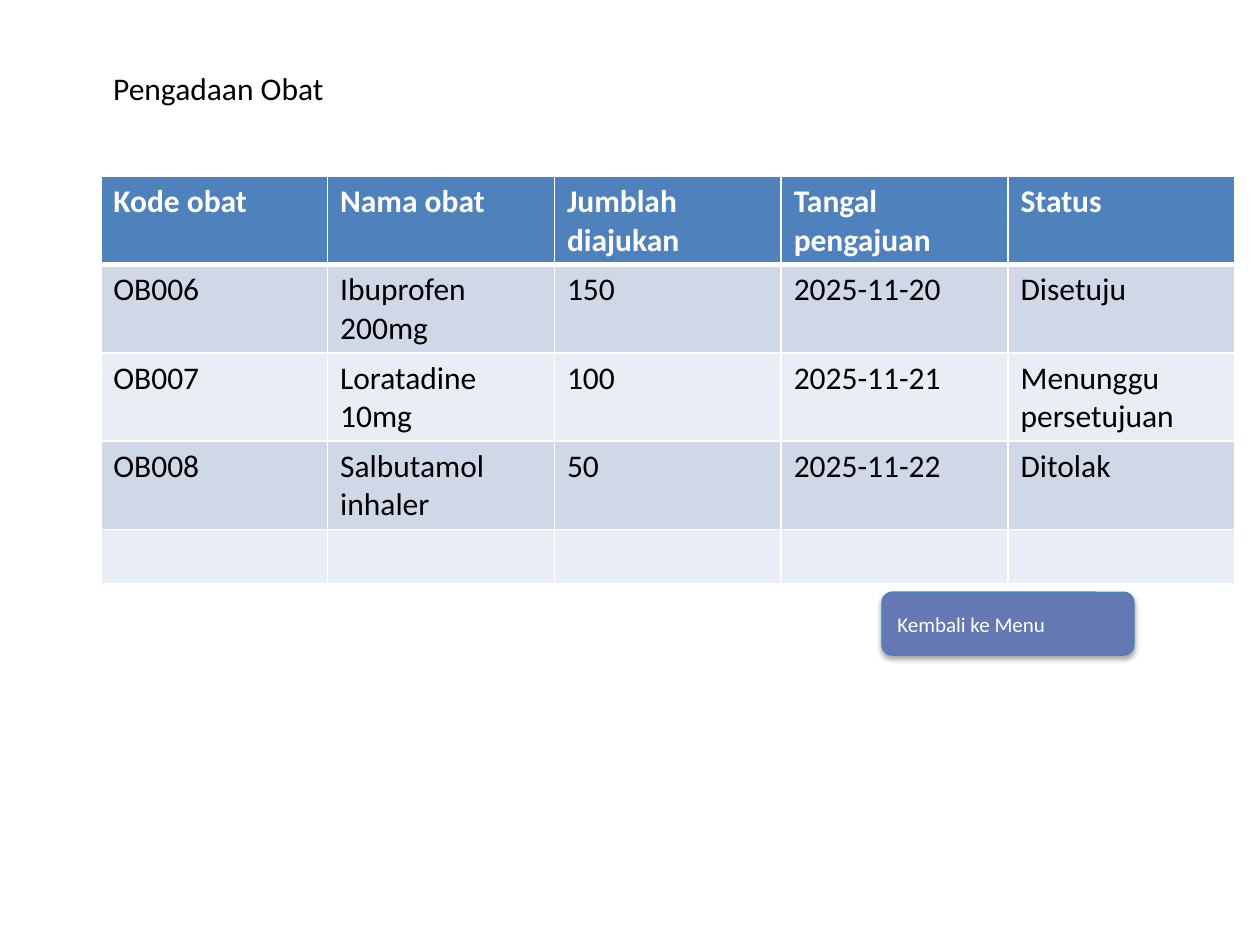
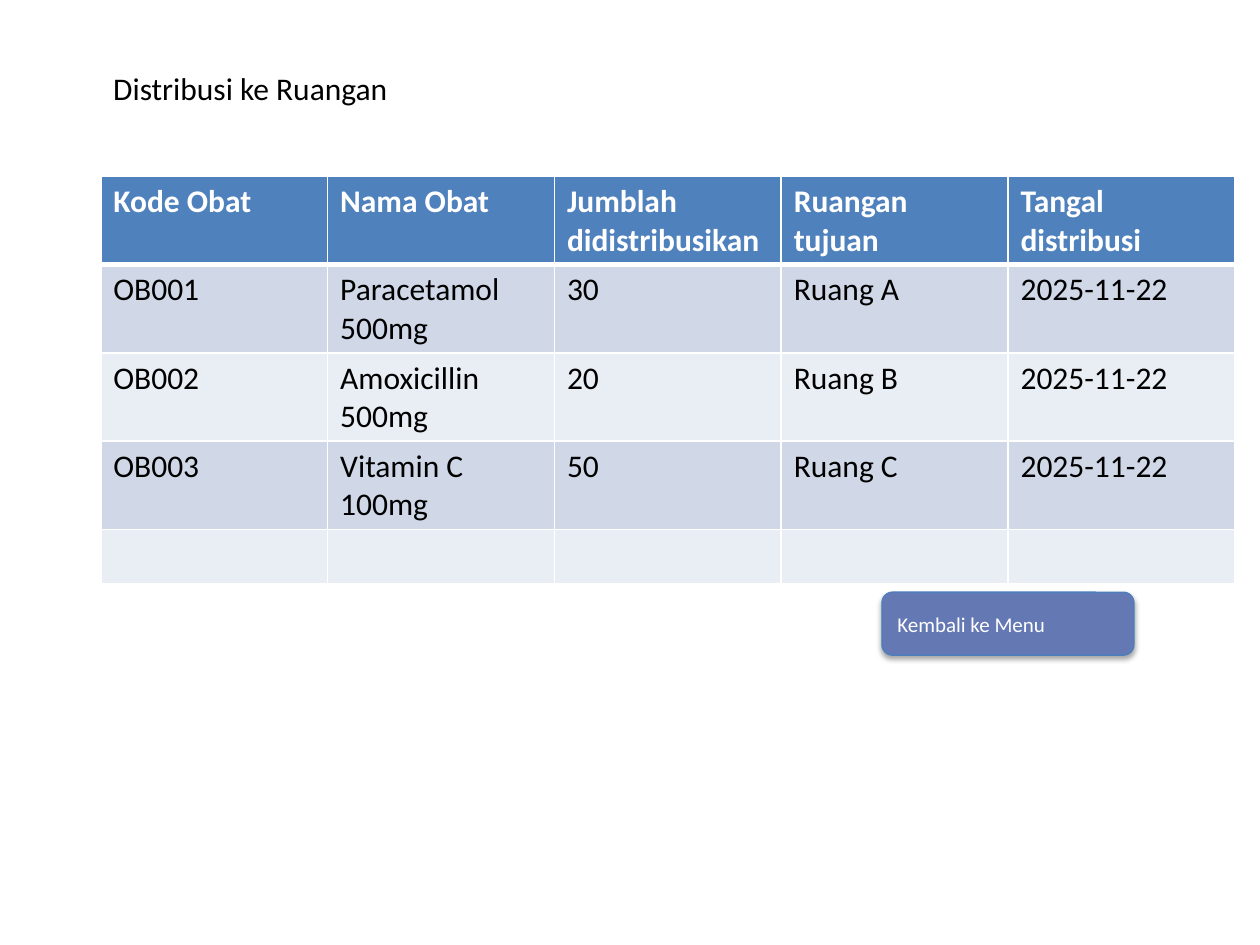
"""Build the medicine procurement and room distribution slides."""
from lxml import etree
from pptx import Presentation
from pptx.dml.color import RGBColor
from pptx.enum.shapes import MSO_SHAPE
from pptx.enum.text import MSO_ANCHOR, MSO_AUTO_SIZE, PP_ALIGN
from pptx.oxml.ns import nsdecls
from pptx.util import Inches, Pt

SCREENS = [
    {
        "title": "Pengadaan Obat",
        "title_width": 2.05,
        "rows": [
            ("Kode obat", "Nama obat", "Jumblah diajukan", "Tangal pengajuan", "Status"),
            ("OB006", "Ibuprofen 200mg", "150", "2025-11-20", "Disetuju"),
            ("OB007", "Loratadine 10mg", "100", "2025-11-21", "Menunggu persetujuan"),
            ("OB008", "Salbutamol inhaler", "50", "2025-11-22", "Ditolak"),
            ("", "", "", "", ""),
        ],
    },
    {
        "title": "Distribusi ke Ruangan",
        "title_width": 2.59,
        "rows": [
            ("Kode Obat", "Nama Obat", "Jumblah didistribusikan", "Ruangan tujuan",
             "Tangal distribusi"),
            ("OB001", "Paracetamol 500mg", "30", "Ruang A", "2025-11-22"),
            ("OB002", "Amoxicillin 500mg", "20", "Ruang B", "2025-11-22"),
            ("OB003", "Vitamin C 100mg", "50", "Ruang C", "2025-11-22"),
            ("", "", "", "", ""),
        ],
    },
]
BUTTON_LABEL = "Kembali ke Menu"

COLORS = {
    "black": "000000",
    "white": "FFFFFF",
    "header": "4F81BD",
    "odd_row": "D0D8E8",
    "even_row": "E9EDF4",
    "button": "6478B4",
    "button_line": "4B7EBC",
}
FORMATS = {
    "title": {"name": "Calibri", "size": Pt(18), "color": "black"},
    "header": {"name": "Calibri", "size": Pt(18), "bold": True, "color": "white"},
    "body": {"name": "Calibri", "size": Pt(18), "bold": False, "color": "black"},
    "button": {"name": "Calibri", "size": Pt(12), "color": "white"},
}
LEFT, TITLE_TOP, TITLE_HEIGHT = 0.8, 0.5, 0.39
TABLE_TOP, COLUMN_WIDTH, ROW_HEIGHT = 1.4, 1.8, 0.43
BUTTON_BOX = (7, 4.7, 2, 0.5)


def rgb(color):
    return RGBColor.from_string(COLORS[color])


def write(frame, text, style):
    para = frame.paragraphs[0]
    para.alignment = PP_ALIGN.LEFT
    span = para.add_run()
    span.text = text
    for name, value in FORMATS[style].items():
        if name == "color":
            span.font.color.rgb = rgb(value)
        else:
            setattr(span.font, name, value)


def add_title(page, text, width):
    box = page.shapes.add_textbox(
        *map(Inches, (LEFT, TITLE_TOP, width, TITLE_HEIGHT)))
    box.text_frame.word_wrap = False
    box.text_frame.auto_size = MSO_AUTO_SIZE.SHAPE_TO_FIT_TEXT
    write(box.text_frame, text, "title")


def set_borders(cell, widths):
    properties = cell._tc.get_or_add_tcPr()
    for position, (side, points) in enumerate(widths.items()):
        properties.insert(position, etree.fromstring(
            f'<a:ln{side} {nsdecls("a")} w="{Pt(points)}"><a:solidFill>'
            f'<a:srgbClr val="{COLORS["white"]}"/></a:solidFill></a:ln{side}>'))


def add_grid(page, rows):
    columns = len(rows[0])
    size = (COLUMN_WIDTH * columns, ROW_HEIGHT * len(rows))
    table = page.shapes.add_table(
        len(rows), columns, *map(Inches, (LEFT, TABLE_TOP, *size))).table
    for row_index, row in enumerate(rows):
        table.rows[row_index].height = Inches(ROW_HEIGHT)
        band = "odd_row" if row_index % 2 else "even_row"
        for column_index, text in enumerate(row):
            cell = table.cell(row_index, column_index)
            cell.fill.solid()
            cell.fill.fore_color.rgb = rgb(band if row_index else "header")
            set_borders(cell, {"L": 1, "R": 1,
                               "T": 3 if row_index == 1 else 1,
                               "B": 3 if row_index == 0 else 1})
            if text:
                write(cell.text_frame, text, "body" if row_index else "header")


def add_button(page):
    button = page.shapes.add_shape(
        MSO_SHAPE.ROUNDED_RECTANGLE, *map(Inches, BUTTON_BOX))
    button.fill.solid()
    button.fill.fore_color.rgb = rgb("button")
    button.line.color.rgb = rgb("button_line")
    button.line.width = Pt(0.75)
    button.shadow.inherit = False
    effects = button._element.spPr.find("{*}effectLst")
    effects.append(etree.fromstring(
        f'<a:outerShdw {nsdecls("a")} blurRad="{Pt(3.1)}" dist="{Pt(1.8)}" '
        f'dir="5400000" rotWithShape="0"><a:srgbClr val="{COLORS["black"]}">'
        '<a:alpha val="35000"/></a:srgbClr></a:outerShdw>'))
    button.text_frame.vertical_anchor = MSO_ANCHOR.MIDDLE
    write(button.text_frame, BUTTON_LABEL, "button")


def main():
    deck = Presentation()
    deck.slide_width, deck.slide_height = Inches(10), Inches(7.5)
    for screen in SCREENS:
        page = deck.slides.add_slide(deck.slide_layouts[6])
        add_title(page, screen["title"], screen["title_width"])
        add_grid(page, screen["rows"])
        add_button(page)
    deck.save("out.pptx")


if __name__ == "__main__":
    main()
